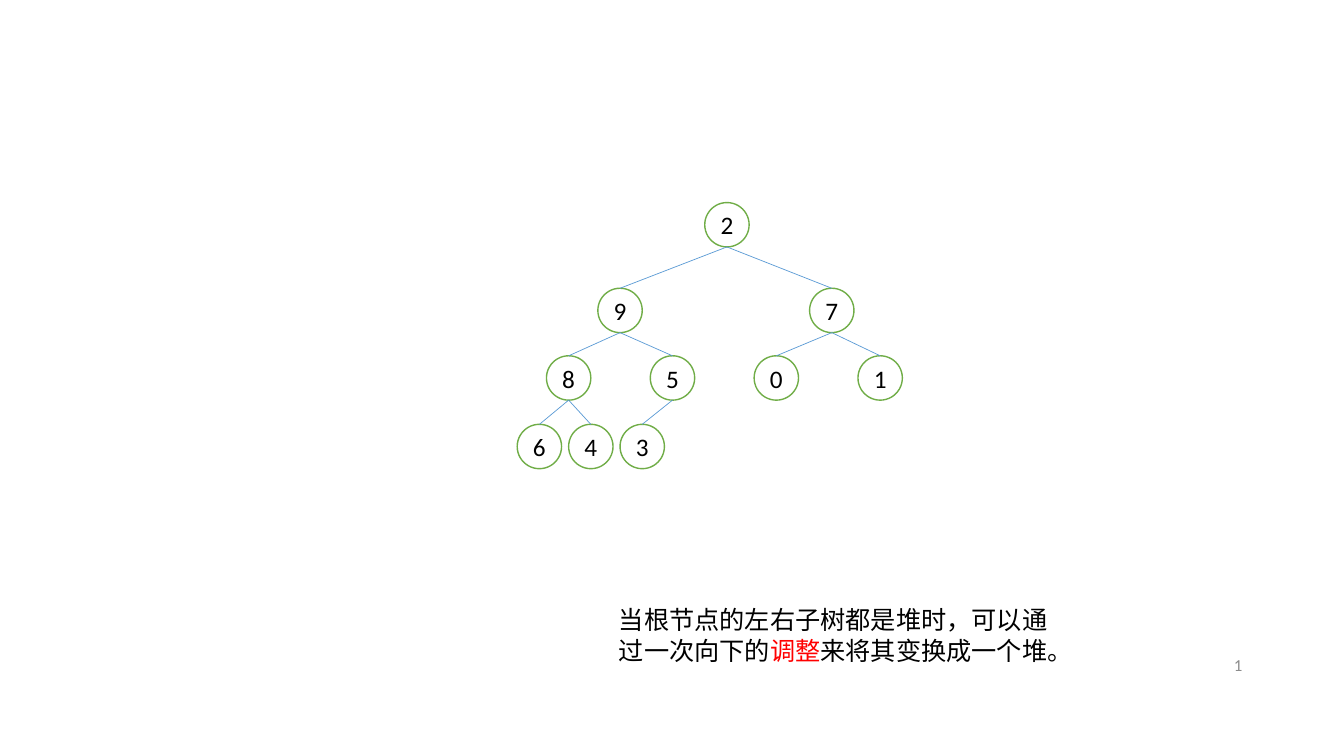
"""Build a slide showing a binary tree that one downward adjustment turns into a heap."""
from lxml.etree import SubElement
from pptx import Presentation
from pptx.dml.color import RGBColor
from pptx.enum.shapes import MSO_CONNECTOR as Connector, MSO_SHAPE as Shape
from pptx.enum.text import MSO_ANCHOR as Anchor, PP_ALIGN as Align
from pptx.oxml.ns import qn
from pptx.util import Inches, Pt

COLORS = {"node": "FFFFFF", "ring": "70AD47", "edge": "5B9BD5",
          "text": "000000", "accent": "FF0000", "number": "8C8C8C"}
LATIN, CHINESE = "Calibri", "Noto Sans CJK SC"
HEAP = [2, 9, 7, 8, 5, 0, 1, 6, 4, 3]
LEVELS = [
    {"top": 2.01, "left": 6.99, "step": 0},
    {"top": 2.86, "left": 5.93, "step": 2.1},
    {"top": 3.53, "left": 5.42, "step": 1.03},
    {"top": 4.21, "left": 5.13, "step": 0.51},
]
NODE = 0.44
CAPTION = [("当根节点的左右子树都是堆时，可以通过一次向下的", "text"),
           ("调整", "accent"),
           ("来将其变换成一个堆。", "text")]
CAPTION_AREA = (6.04, 5.95, 4.47, 0.71)
NUMBER_AREA = (9.42, 6.4, 3, 0.4)


def color(name):
    return RGBColor.from_string(COLORS[name])


def add_span(para, text, size, name, font=LATIN):
    span = para.add_run()
    span.text = text
    span.font.size = Pt(size)
    span.font.name = font
    span.font.color.rgb = color(name)
    SubElement(span.font._element, qn("a:ea")).set("typeface", font)


def add_box(page, area):
    box = page.shapes.add_textbox(*map(Inches, area))
    box.text_frame.word_wrap = True
    return box.text_frame


def node_place(index):
    depth = (index + 1).bit_length() - 1
    level = LEVELS[depth]
    column = index + 1 - 2 ** depth
    return level["left"] + column * level["step"], level["top"]


def add_node(page, index, value):
    left, top = node_place(index)
    node = page.shapes.add_shape(Shape.OVAL, *map(Inches, (left, top, NODE, NODE)))
    node.shadow.inherit = False
    node.fill.solid()
    node.fill.fore_color.rgb = color("node")
    node.line.color.rgb = color("ring")
    node.line.width = Pt(1)
    frame = node.text_frame
    frame.margin_left = frame.margin_right = frame.margin_top = frame.margin_bottom = 0
    frame.vertical_anchor = Anchor.MIDDLE
    para = frame.paragraphs[0]
    para.alignment = Align.CENTER
    add_span(para, str(value), 18, "text")


def add_edge(page, child):
    left, top = node_place((child - 1) // 2)
    child_left, child_top = node_place(child)
    ends = (left + NODE / 2, top + NODE, child_left + NODE / 2, child_top)
    edge = page.shapes.add_connector(Connector.STRAIGHT, *map(Inches, ends))
    edge.line.color.rgb = color("edge")
    edge.line.width = Pt(0.5)
    SubElement(edge._element.spPr, qn("a:effectLst"))


def main():
    deck = Presentation()
    deck.slide_width, deck.slide_height = Inches(13.33), Inches(7.5)
    page = deck.slides.add_slide(deck.slide_layouts[6])

    number = add_box(page, NUMBER_AREA)
    number.vertical_anchor = Anchor.MIDDLE
    number.paragraphs[0].alignment = Align.RIGHT
    add_span(number.paragraphs[0], "1", 12, "number")

    for index, value in enumerate(HEAP):
        add_node(page, index, value)
    for child in range(1, len(HEAP)):
        add_edge(page, child)

    caption = add_box(page, CAPTION_AREA).paragraphs[0]
    caption.line_spacing = Pt(21.6)
    for text, name in CAPTION:
        add_span(caption, text, 18, name, CHINESE)

    deck.save("out.pptx")


if __name__ == "__main__":
    main()
